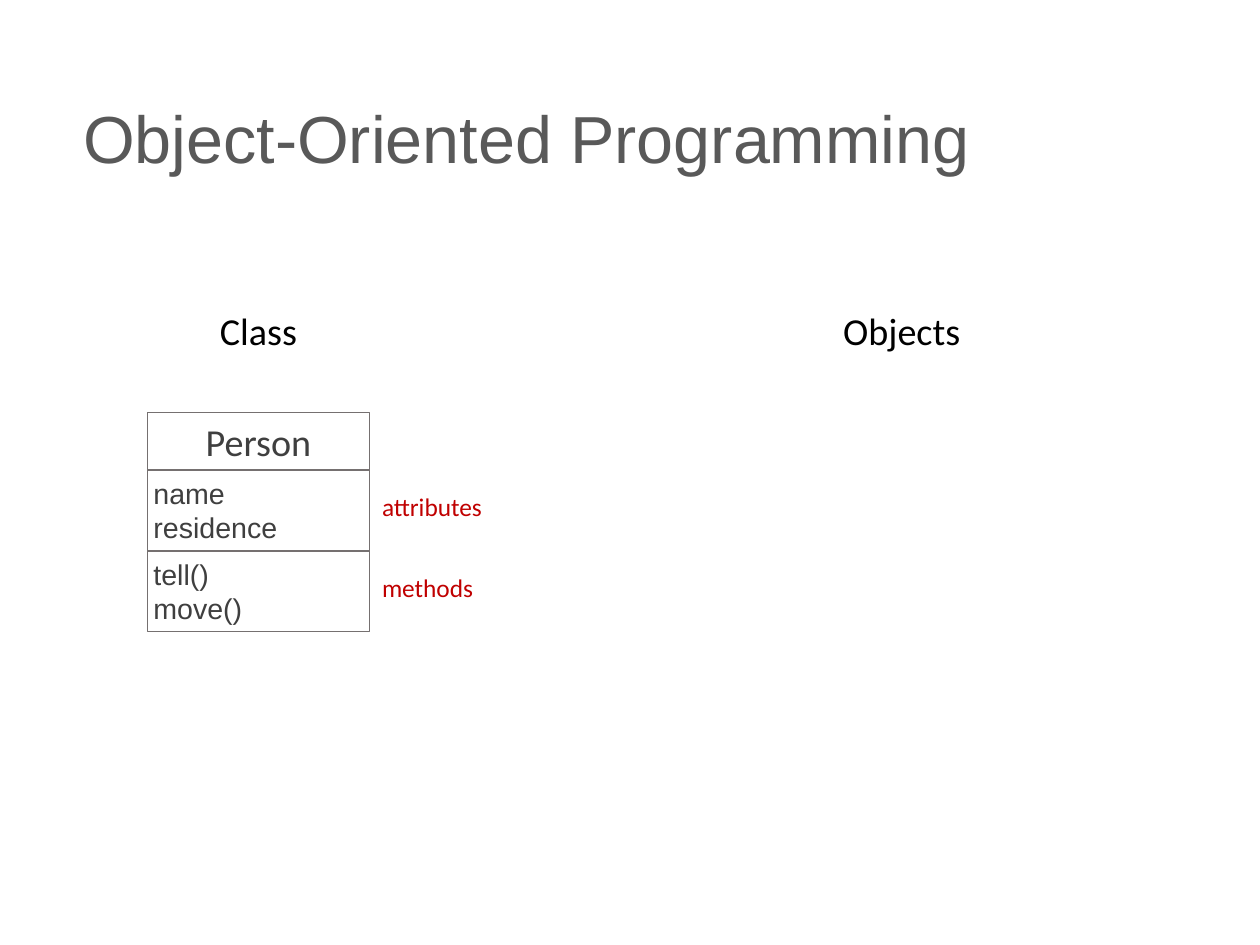
import dataclasses
from typing import Any

import pptx
import pptx.dml.color
import pptx.enum.shapes
import pptx.enum.text
import pptx.util

Cm = pptx.util.Cm
ALIGN = pptx.enum.text.PP_ALIGN
ANCHOR = pptx.enum.text.MSO_ANCHOR

COLORS = {
    "background": "FFFFFF",
    "title": "595959",
    "heading": "000000",
    "member": "3F3F3F",
    "outline": "757070",
    "note": "C00000",
}


@dataclasses.dataclass
class Label:
    lines: list[str]
    left: float
    top: float
    width: float
    height: float
    size: float
    color: str
    font: str = "Calibri"
    align: Any = ALIGN.LEFT
    anchor: Any = ANCHOR.TOP
    spacing: float = 1.0
    inset_x: float = 0.13
    outlined: bool = False


@dataclasses.dataclass
class Compartment:
    lines: list[str]
    height: float
    size: float
    font: str
    align: Any
    note: str = ""


def rgb(name: str) -> pptx.dml.color.RGBColor:
    return pptx.dml.color.RGBColor.from_string(COLORS[name])


def set_values(target: Any, values: dict[str, Any]) -> None:
    for name, value in values.items():
        setattr(target, name, value)


def draw_label(page: Any, label: Label) -> None:
    area = [Cm(v) for v in (label.left, label.top, label.width, label.height)]
    if label.outlined:
        box = page.shapes.add_shape(pptx.enum.shapes.MSO_SHAPE.RECTANGLE, *area)
        box.shadow.inherit = False
        box.fill.background()
        box.line.color.rgb = rgb("outline")
        box.line.width = pptx.util.Pt(1)
    else:
        box = page.shapes.add_textbox(*area)
    set_values(box.text_frame, {
        "word_wrap": True,
        "vertical_anchor": label.anchor,
        "margin_left": Cm(label.inset_x),
        "margin_right": Cm(label.inset_x),
        "margin_top": Cm(0.13),
        "margin_bottom": Cm(0.13),
    })
    box.text_frame.text = "\n".join(label.lines)
    for para in box.text_frame.paragraphs:
        set_values(para, {"alignment": label.align, "line_spacing": label.spacing})
        for span in para.runs:
            set_values(span.font, {"name": label.font, "size": pptx.util.Pt(label.size)})
            span.font.color.rgb = rgb(label.color)


def draw_class(page: Any, left: float, top: float, width: float,
               compartments: list[Compartment]) -> None:
    for part in compartments:
        draw_label(page, Label(part.lines, left, top, width, part.height, part.size,
                               "member", part.font, part.align, outlined=True))
        if part.note:
            draw_label(page, Label([part.note], left + width + 0.15, top + 0.35,
                                   3.12, 0.94, 16, "note"))
        top += part.height


def main() -> None:
    deck = pptx.Presentation()
    set_values(deck, {"slide_width": Cm(28), "slide_height": Cm(21)})
    page = deck.slides.add_slide(deck.slide_layouts[6])
    page.background.fill.solid()
    page.background.fill.fore_color.rgb = rgb("background")

    # Title and column headings
    class_left, class_width = 3.28, 4.93
    for label in (
        Label(["Object-Oriented Programming"], 1.6, 1.12, 24.79, 4.06, 41.9, "title",
              "Arial", anchor=ANCHOR.MIDDLE, spacing=0.9, inset_x=0.25),
        Label(["Class"], class_left, 6.71, class_width, 1.27, 24, "heading",
              align=ALIGN.CENTER),
        Label(["Objects"], 18.57, 6.71, 2.9, 1.27, 24, "heading", align=ALIGN.RIGHT),
    ):
        draw_label(page, label)

    # Class diagram with notes beside its compartments
    draw_class(page, class_left, 9.17, class_width, [
        Compartment(["Person"], 1.27, 24, "Calibri", ALIGN.CENTER),
        Compartment(["name", "residence"], 1.8, 18, "Arial", ALIGN.LEFT, "attributes"),
        Compartment(["tell()", "move()"], 1.8, 18, "Arial", ALIGN.LEFT, "methods"),
    ])

    deck.save("out.pptx")


if __name__ == "__main__":
    main()
